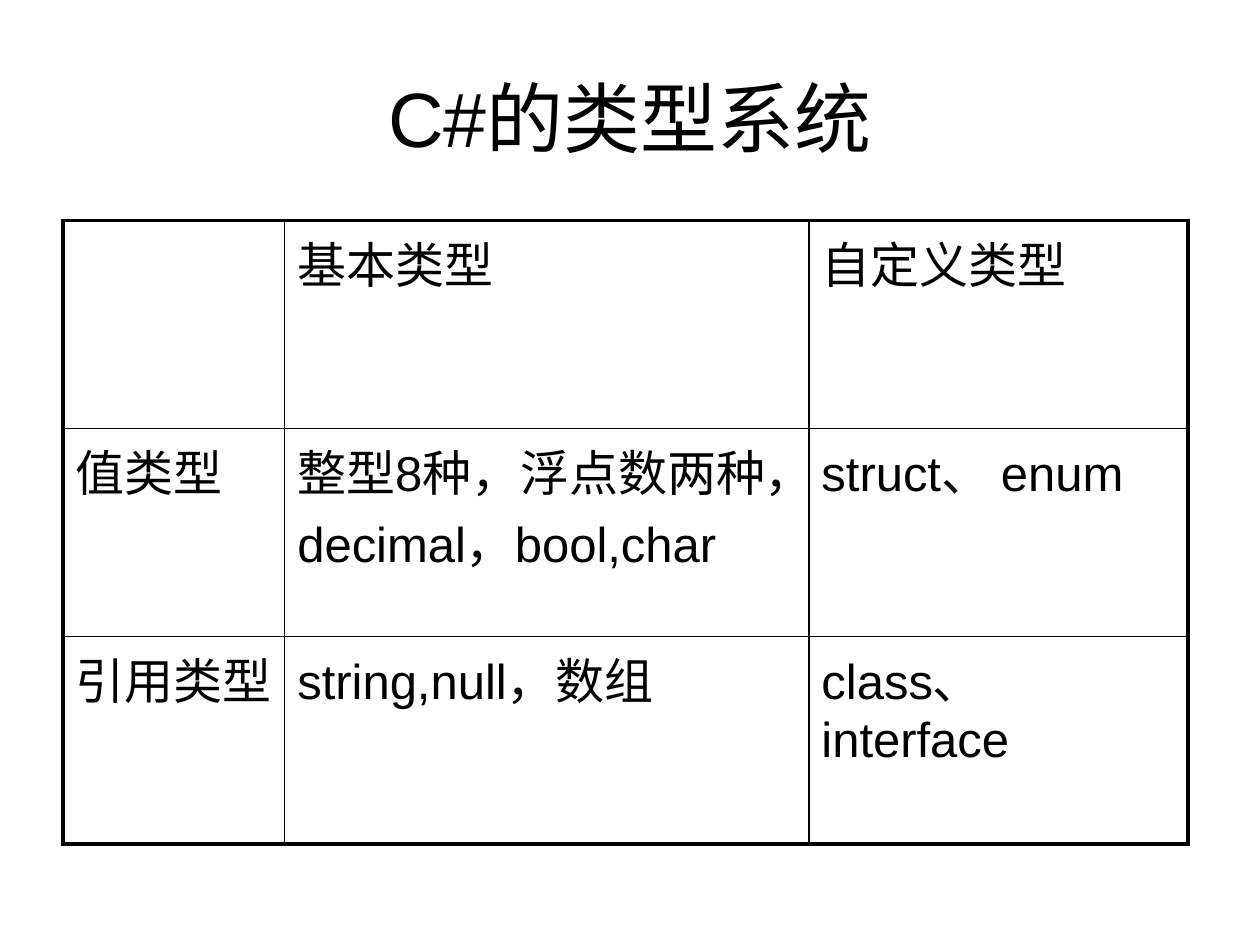
from lxml.etree import SubElement
from pptx import Presentation
from pptx.dml.color import RGBColor
from pptx.enum.text import MSO_ANCHOR, PP_ALIGN
from pptx.oxml.ns import qn
from pptx.util import Inches, Pt

TITLE = "C#的类型系统"
ROWS = [
    ["", "基本类型", "自定义类型"],
    ["值类型", "整型8种，浮点数两种，decimal，bool,char", "struct、 enum"],
    ["引用类型", "string,null，数组", "class、 interface"],
]
COLS = [1.76, 4.16, 3.01]
HIGH = 1.65
LEFT, TOP = 0.5, 1.75
INK = "000000"
THIN, THICK = 1, 2.25


def color(code):
    return RGBColor.from_string(code)


def write(frame, text, size, **form):
    para = frame.paragraphs[0]
    for name, value in form.items():
        setattr(para, name, value)
    para.font.size = Pt(size)
    if text:
        run = para.add_run()
        run.text = text
        for name, value in {"size": Pt(size), "name": "Arial"}.items():
            setattr(run.font, name, value)
        run.font.color.rgb = color(INK)


def border(cell, widths):
    """Draw the cell's sides; the lines must come before its fill."""
    props = cell._tc.get_or_add_tcPr()
    for side, width in widths.items():
        line = SubElement(props, qn(f"a:ln{side}"), w=str(Pt(width)))
        fill = SubElement(line, qn("a:solidFill"))
        SubElement(fill, qn("a:srgbClr"), val=INK)


deck = Presentation()
deck.slide_width, deck.slide_height = Inches(10), Inches(7.5)
slide = deck.slides.add_slide(deck.slide_layouts[6])

head = slide.shapes.add_textbox(Inches(LEFT), Inches(0.3), Inches(9), Inches(1.25))
head.text_frame.word_wrap = True
head.text_frame.vertical_anchor = MSO_ANCHOR.MIDDLE
write(head.text_frame, TITLE, 44, alignment=PP_ALIGN.CENTER)

last, end = len(ROWS) - 1, len(COLS) - 1
table = slide.shapes.add_table(
    len(ROWS), len(COLS), Inches(LEFT), Inches(TOP),
    Inches(sum(COLS)), Inches(HIGH * len(ROWS)),
).table
table.first_row = table.horz_banding = False
for col, width in zip(table.columns, COLS):
    col.width = Inches(width)

for r, row in enumerate(ROWS):
    table.rows[r].height = Inches(HIGH)
    for c, text in enumerate(row):
        cell = table.cell(r, c)
        outer = {"L": c == 0, "R": c == end, "T": r == 0, "B": r == last}
        border(cell, {s: THICK if edge else THIN for s, edge in outer.items()})
        cell.fill.background()
        write(cell.text_frame, text, 28, space_before=Pt(5.6))

deck.save("out.pptx")
